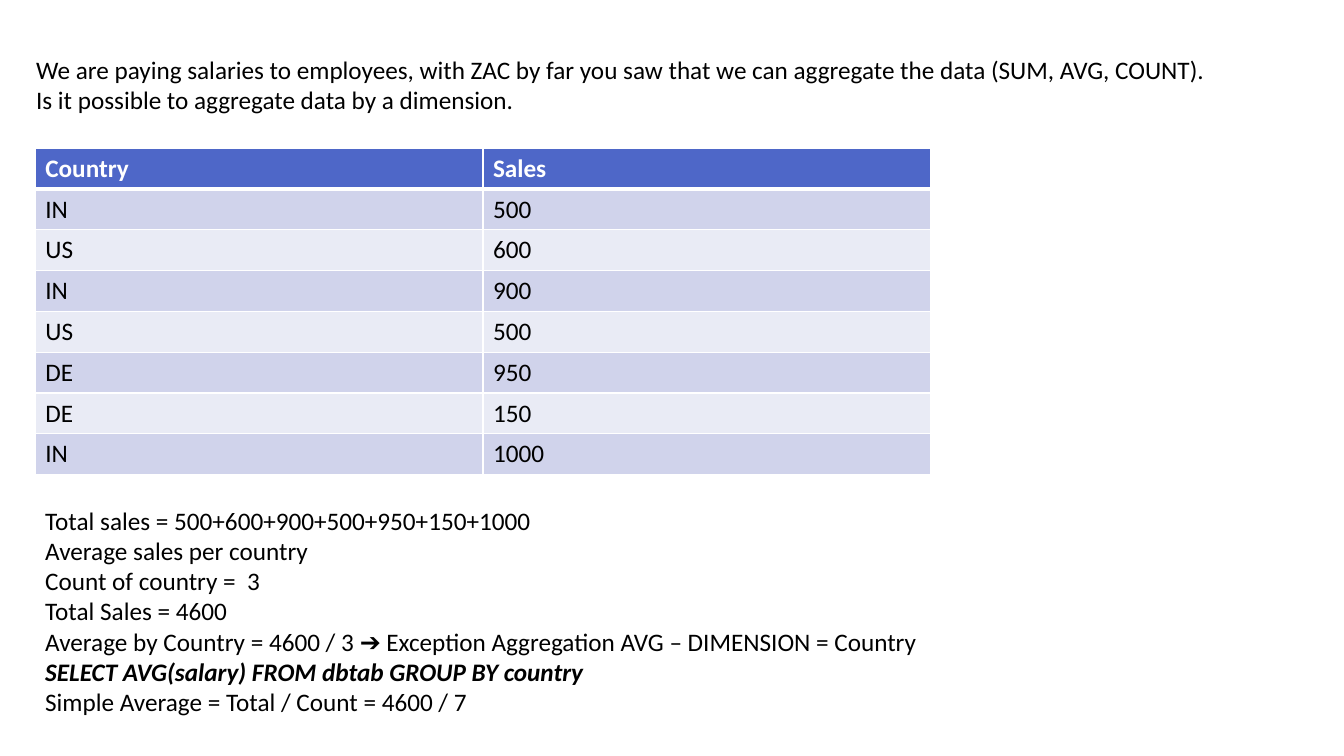
from dataclasses import dataclass

from lxml.etree import SubElement
from pptx import Presentation
from pptx.dml.color import RGBColor as RGB
from pptx.enum.text import MSO_AUTO_SIZE as AutoSize
from pptx.oxml.ns import qn
from pptx.util import Inches, Pt


@dataclass(frozen=True)
class Theme:
    font: str = "Calibri"
    size: int = 18
    ink: str = "000000"
    white: str = "FFFFFF"
    header: str = "4E67C8"
    bands: tuple = ("D0D3EB", "E9EBF5")


theme = Theme()


def write(paragraph, text, color=theme.ink, bold=False, italic=False):
    run = paragraph.add_run()
    run.text = text
    font = run.font
    font.name, font.size = theme.font, Pt(theme.size)
    font.color.rgb = RGB.from_string(color)
    font.bold, font.italic = bold, italic


def add_lines(lines, left, top, width, height, emphasis=None):
    frame = slide.shapes.add_textbox(
        Inches(left), Inches(top), Inches(width), Inches(height)
    ).text_frame
    frame.word_wrap = True
    frame.auto_size = AutoSize.SHAPE_TO_FIT_TEXT
    for i, line in enumerate(lines):
        paragraph = frame.add_paragraph() if i else frame.paragraphs[0]
        strong = line == emphasis
        write(paragraph, line, bold=strong, italic=strong)


prs = Presentation()
prs.slide_width, prs.slide_height = Inches(13.33), Inches(7.5)
slide = prs.slides.add_slide(prs.slide_layouts[6])

question = [
    "We are paying salaries to employees, with ZAC by far you saw that we can aggregate the data (SUM, AVG, COUNT).",
    "Is it possible to aggregate data by a dimension.",
]
add_lines(question, 0.26, 0.49, 12.58, 0.71)

sales_rows = [
    ("Country", "Sales"),
    ("IN", "500"),
    ("US", "600"),
    ("IN", "900"),
    ("US", "500"),
    ("DE", "950"),
    ("DE", "150"),
    ("IN", "1000"),
]
sales = slide.shapes.add_table(
    len(sales_rows), 2, Inches(0.35), Inches(1.47), Inches(8.88), Inches(3.24)
).table
for r, values in enumerate(sales_rows):
    is_header = r == 0
    fill = theme.header if is_header else theme.bands[(r - 1) % 2]
    for c, value in enumerate(values):
        cell = sales.cell(r, c)
        write(cell.text_frame.paragraphs[0], value,
              color=theme.white if is_header else theme.ink, bold=is_header)
        props = cell._tc.get_or_add_tcPr()
        for side in "LRTB":
            thick = (is_header and side == "B") or (r == 1 and side == "T")
            border = SubElement(props, qn(f"a:ln{side}"), w=str(Pt(3 if thick else 1)))
            SubElement(SubElement(border, qn("a:solidFill")), qn("a:srgbClr"), val=theme.white)
        cell.fill.solid()
        cell.fill.fore_color.rgb = RGB.from_string(fill)

query = "SELECT AVG(salary) FROM dbtab GROUP BY country"
calculation = [
    "Total sales = 500+600+900+500+950+150+1000",
    "Average sales per country",
    "Count of country =  3",
    "Total Sales = 4600",
    "Average by Country = 4600 / 3 ➔ Exception Aggregation AVG – DIMENSION = Country",
    query,
    "Simple Average = Total / Count = 4600 / 7",
]
add_lines(calculation, 0.35, 4.96, 11.04, 2.22, emphasis=query)

prs.save("out.pptx")
